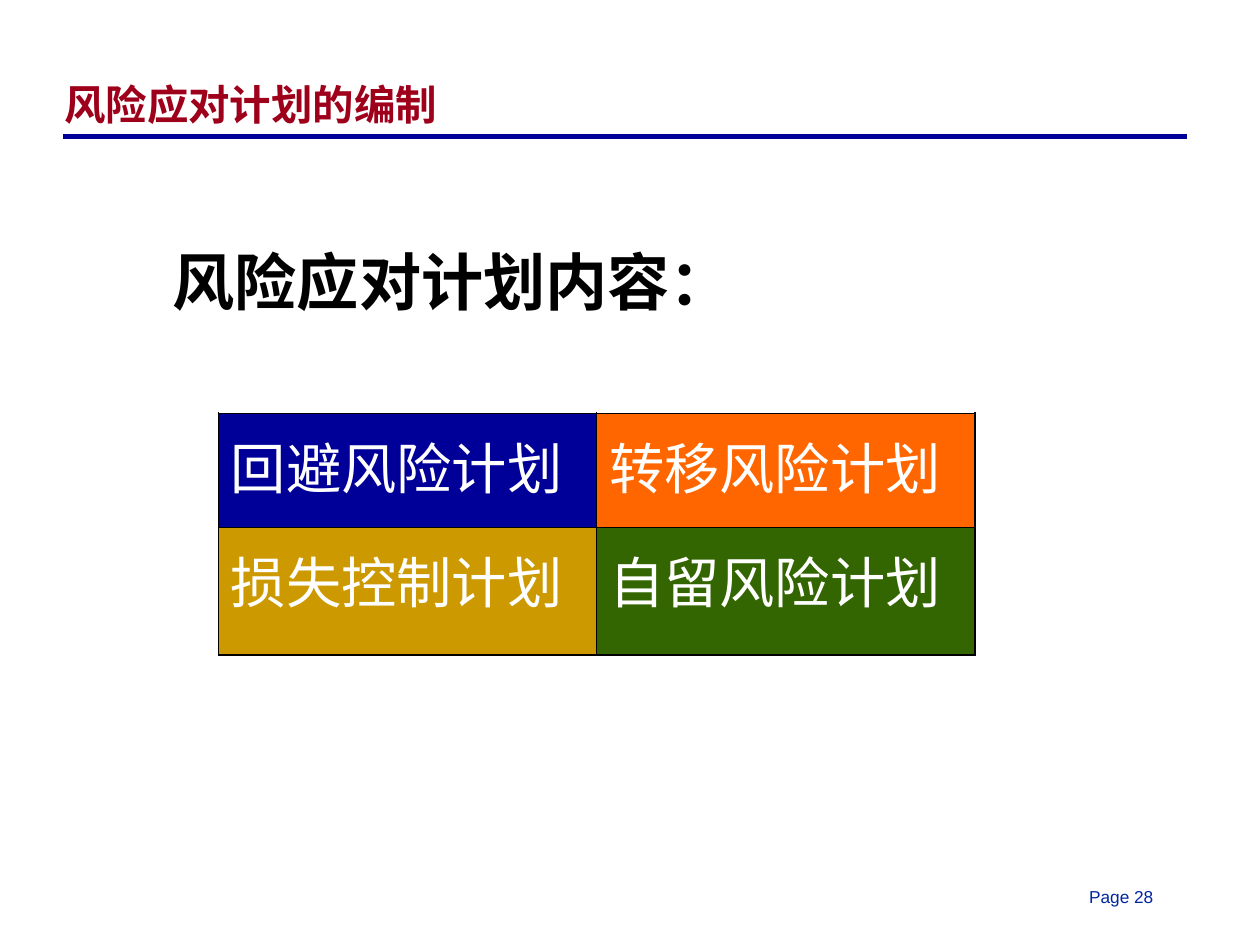
from lxml import etree
from pptx import Presentation
from pptx.dml.color import RGBColor
from pptx.enum import shapes, text
from pptx.oxml import ns
from pptx.util import Pt

TITLE = "风险应对计划的编制"
HEADING = "风险应对计划内容："
PAGE = "Page 28"
PLANS = [
    [("回避风险计划", "000099"), ("转移风险计划", "FF6600")],
    [("损失控制计划", "CC9900"), ("自留风险计划", "336600")],
]

TITLE_BOX = (30, 24, 651, 54.5)
HEADING_BOX = (93, 137.5, 404, 50.5)
PAGE_BOX = (624, 510, 54, 19)
RULE = (36.5, 79, 687.5, 79)
TABLE_LEFT, TABLE_TOP = 126.5, 239.5
COLUMN_WIDTH = 219.25
ROW_HEIGHTS = [66, 74]
OUTER_BORDER, INNER_BORDER = 1.08, 0.45

TITLE_FONT = {"name": "Arial", "size": Pt(24), "bold": True}
HEADING_FONT = {"name": "Times New Roman", "size": Pt(36), "bold": True}
PAGE_FONT = {"name": "Arial", "size": Pt(10), "bold": False}
PLAN_FONT = {"name": "Arial", "size": Pt(32), "bold": False}
FRAME = {"word_wrap": True, "auto_size": text.MSO_AUTO_SIZE.NONE}


def color(value):
    """Turn a hex string into a colour."""
    return RGBColor.from_string(value)


def apply(target, values):
    """Set every attribute in a dict of format values."""
    for name, value in values.items():
        setattr(target, name, value)


def write(frame, words, font, ink, **paragraph_format):
    """Write one formatted, left-aligned paragraph."""
    paragraph = frame.paragraphs[0]
    run = paragraph.add_run()
    run.text = words
    apply(run.font, font)
    run.font.color.rgb = color(ink)
    apply(paragraph, {"alignment": text.PP_ALIGN.LEFT, **paragraph_format})


def add_label(slide, box, words, font, ink):
    """Add a text box holding one line."""
    frame = slide.shapes.add_textbox(*map(Pt, box)).text_frame
    apply(frame, FRAME)
    write(frame, words, font, ink)


def add_rule(slide):
    """Draw the line below the title."""
    rule = slide.shapes.add_connector(
        shapes.MSO_CONNECTOR.STRAIGHT, *map(Pt, RULE))
    rule.line.color.rgb = color("000099")
    rule.line.width = Pt(3)
    etree.SubElement(rule._element.spPr, ns.qn("a:effectLst"))


def set_borders(cell, widths):
    """Give a cell black borders ahead of its fill in the XML."""
    properties = cell._tc.get_or_add_tcPr()
    for index, (side, width) in enumerate(widths.items()):
        border = etree.Element(ns.qn("a:ln" + side), w=str(int(Pt(width))))
        fill = etree.SubElement(border, ns.qn("a:solidFill"))
        etree.SubElement(fill, ns.qn("a:srgbClr"), val="000000")
        properties.insert(index, border)


def add_plans(slide):
    """Build the coloured table of plans."""
    row_count, column_count = len(PLANS), len(PLANS[0])
    table = slide.shapes.add_table(
        row_count, column_count, Pt(TABLE_LEFT), Pt(TABLE_TOP),
        Pt(COLUMN_WIDTH * column_count), Pt(sum(ROW_HEIGHTS))).table
    apply(table, {"first_row": False, "horz_banding": False})
    for column in table.columns:
        column.width = Pt(COLUMN_WIDTH)
    for row_index, plans in enumerate(PLANS):
        table.rows[row_index].height = Pt(ROW_HEIGHTS[row_index])
        for column_index, (words, fill) in enumerate(plans):
            cell = table.cell(row_index, column_index)
            cell.fill.solid()
            cell.fill.fore_color.rgb = color(fill)
            write(cell.text_frame, words, PLAN_FONT, "FFFFFF",
                  line_spacing=Pt(50), space_after=Pt(4))
            outer = {"L": column_index == 0,
                     "R": column_index == column_count - 1,
                     "T": row_index == 0,
                     "B": row_index == row_count - 1}
            set_borders(cell, {side: OUTER_BORDER if edge else INNER_BORDER
                               for side, edge in outer.items()})


presentation = Presentation()
apply(presentation, {"slide_width": Pt(730), "slide_height": Pt(547)})
slide = presentation.slides.add_slide(presentation.slide_layouts[5])

title = slide.shapes.title
apply(title, dict(zip(("left", "top", "width", "height"), map(Pt, TITLE_BOX))))
apply(title.text_frame,
      {**FRAME, "vertical_anchor": text.MSO_ANCHOR.BOTTOM})
write(title.text_frame, TITLE, TITLE_FONT, "9E001B", line_spacing=0.87)

add_rule(slide)
add_label(slide, PAGE_BOX, PAGE, PAGE_FONT, "00279F")
add_plans(slide)
add_label(slide, HEADING_BOX, HEADING, HEADING_FONT, "000000")
presentation.save("out.pptx")
